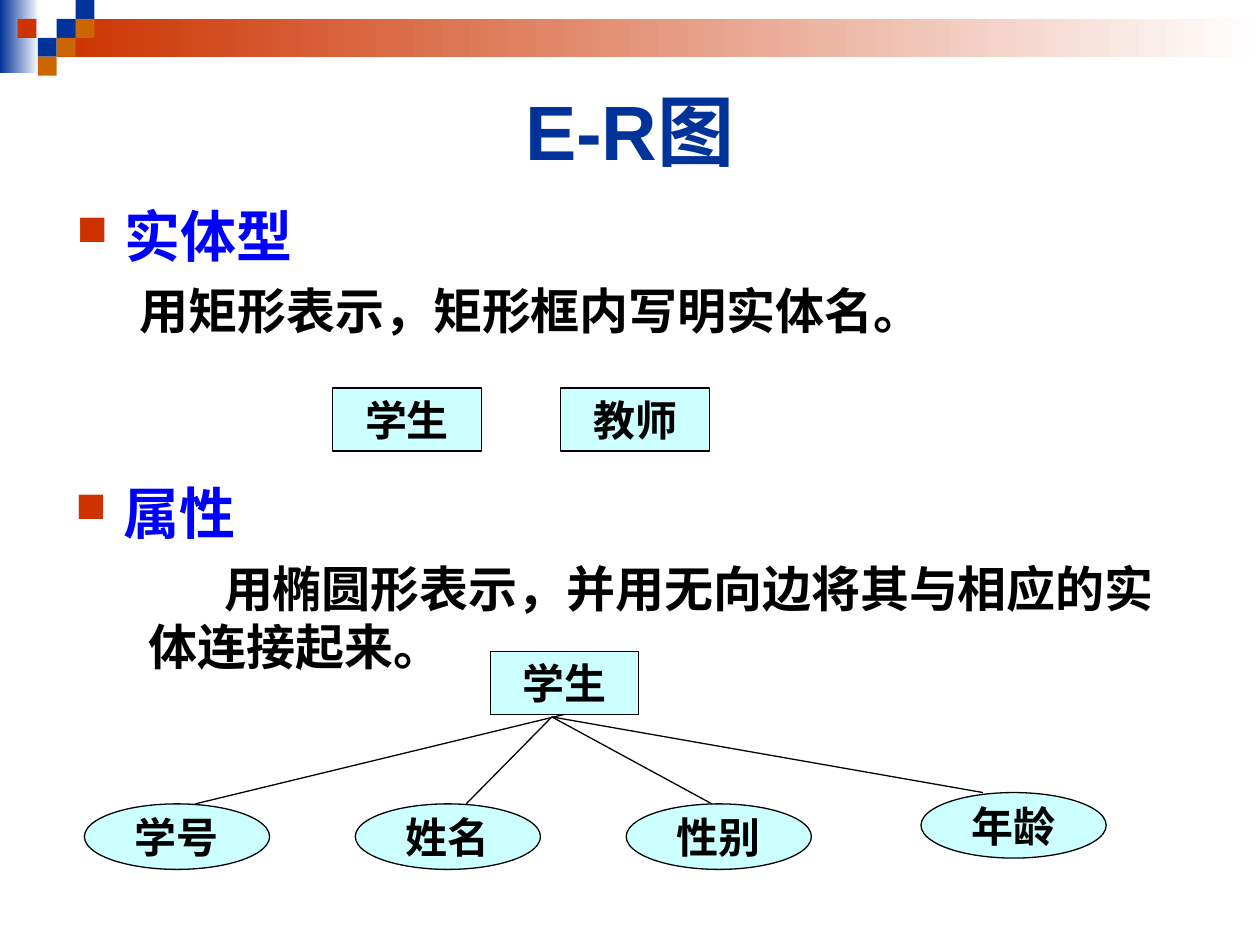
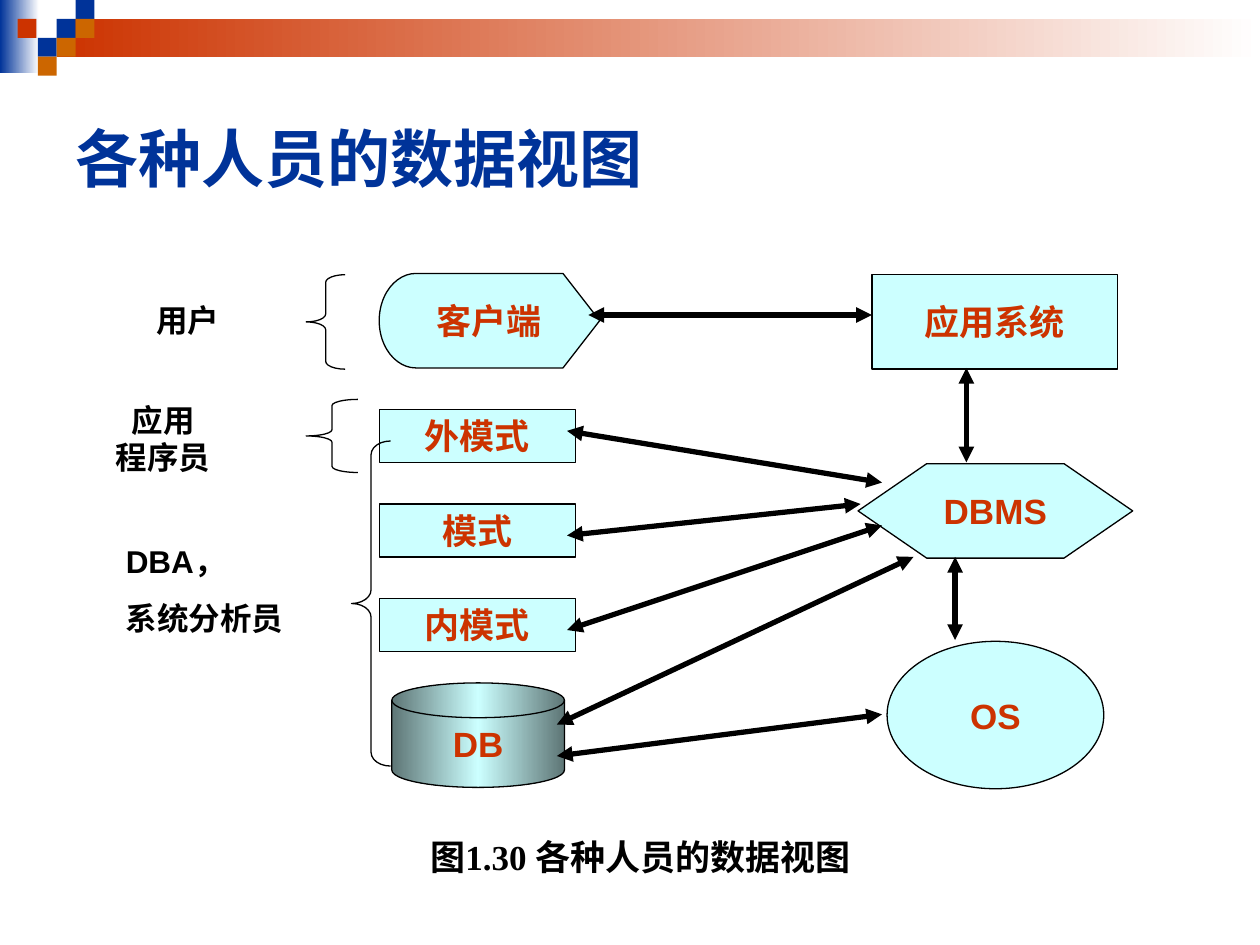
import copy
import pptx
import pptx.util
import pptx.dml.color
import pptx.enum.lang
import pptx.enum.shapes
import pptx.enum.text
import pptx.oxml.ns
import lxml.etree

Inches, Pt = pptx.util.Inches, pptx.util.Pt
RGBColor = pptx.dml.color.RGBColor
Kind = pptx.enum.shapes.MSO_SHAPE
Align = pptx.enum.text.PP_ALIGN
Anchor = pptx.enum.text.MSO_ANCHOR
Lang = pptx.enum.lang.MSO_LANGUAGE_ID
qn = pptx.oxml.ns.qn

NAVY = RGBColor(0x00, 0x33, 0x99)
RED = RGBColor(0xCC, 0x33, 0x00)
OCHRE = RGBColor(0xCC, 0x66, 0x00)
BLUE = RGBColor(0x00, 0x00, 0xFF)
AQUA = RGBColor(0xCC, 0xFF, 0xFF)
TEAL = RGBColor(0x5E, 0x76, 0x76)
BLACK = RGBColor(0x00, 0x00, 0x00)
WHITE = RGBColor(0xFF, 0xFF, 0xFF)
SANS, SERIF, HAN = "Arial", "Times New Roman", "Noto Sans CJK SC"


def put(page, kind, at, text="", size=20, color=BLACK, face=SANS,
        align=Align.CENTER, fill=AQUA, edge=BLACK, gap=0):
    """Add a shape, or a text box when kind is None, with bold text."""
    at = [Inches(n) for n in at]
    if kind is None:
        shape = page.shapes.add_textbox(*at)
    else:
        shape = page.shapes.add_shape(kind, *at)
        shape.shadow.inherit = False
        if fill is None:
            shape.fill.background()
        elif isinstance(fill, list):
            shape.fill.gradient()
            shape.fill.gradient_angle = 0
            for stop, tone in zip(shape.fill.gradient_stops, fill):
                stop.color.rgb = tone
        else:
            shape.fill.solid()
            shape.fill.fore_color.rgb = fill
        if edge is None:
            shape.line.fill.background()
        else:
            shape.line.color.rgb = edge
            shape.line.width = Pt(0.75)
    if text:
        frame = shape.text_frame
        frame.word_wrap = True
        frame.vertical_anchor = Anchor.TOP if kind is None else Anchor.MIDDLE
        frame.text = text
        for i, para in enumerate(frame.paragraphs):
            para.alignment = align
            if i and gap:
                para.space_before = Pt(gap)
            font = para.font
            font.name, font.size, font.bold = face, Pt(size), True
            font.color.rgb = color
            font.language_id = Lang.SIMPLIFIED_CHINESE
    return shape


def link(page, start, end, width=0.75, heads=False):
    """Add a black straight line, with arrowheads at both ends if asked."""
    line = page.shapes.add_connector(
        pptx.enum.shapes.MSO_CONNECTOR.STRAIGHT,
        *[Inches(n) for n in start + end])
    line.line.color.rgb = BLACK
    line.line.width = Pt(width)
    if heads:
        for tag in ("a:headEnd", "a:tailEnd"):
            lxml.etree.SubElement(line.element.spPr.find(qn("a:ln")),
                                  qn(tag), type="triangle")
    lxml.etree.SubElement(line.element.spPr, qn("a:effectLst"))
    return line


deck = pptx.Presentation()
deck.slide_width, deck.slide_height = Inches(10), Inches(7.5)
plan = deck.slide_layouts[5]

# Titles
pages = []
for text, top, size, align in (
        ("E-R图", 0.28, 44, Align.CENTER),
        ("各种人员的数据视图", 0.5, 36, Align.LEFT)):
    page = deck.slides.add_slide(plan)
    title = page.shapes.title
    title.left, title.top = Inches(0.5), Inches(top)
    title.width, title.height = Inches(9), Inches(1.5)
    title.text_frame.text = text
    title.text_frame.vertical_anchor = Anchor.MIDDLE
    para = title.text_frame.paragraphs[0]
    para.alignment = align
    font = para.font
    font.name, font.size, font.bold = SANS, Pt(size), True
    font.color.rgb = NAVY
    font.language_id = Lang.SIMPLIFIED_CHINESE
    pages.append(page)
model, views = pages

# Shared band and checker, moved to the layout
tile = 0.15
band = [((0, 0, 0.31, 0.58), [NAVY, WHITE]),
        ((0.45, tile, 9.55, 0.3), [RED, WHITE])]
for col, row, tone in ((3, 1, NAVY), (4, 0, NAVY), (4, 1, OCHRE),
                       (2, 2, NAVY), (0.93, 1, RED), (3, 2, OCHRE),
                       (2, 3, OCHRE)):
    band.append(((col * tile, row * tile, tile, tile), tone))
for i, (at, fill) in enumerate(band):
    part = put(model, Kind.RECTANGLE, at, fill=fill, edge=None)
    part.element.nvSpPr.cNvPr.set("id", str(20 + i))
    plan.shapes.element.append(part.element)

# Slide 1: heading and note for each notation
for at, head, note, left, first in (
        ((0.51, 1.55, 9, 1.34), "实体型",
         "用矩形表示，矩形框内写明实体名。", 0.81, -0.31),
        ((0.5, 3.75, 9, 2.27), "属性",
         "用椭圆形表示，并用无向边将其与相应的实体连接起来。", 0.58, 0.6)):
    frame = put(model, None, at).text_frame
    frame.word_wrap = True
    frame.text = head + "\n" + note
    top, low = frame.paragraphs
    low.level = 1
    low.space_before = Pt(7)
    for para, margin, indent in ((top, 0.38, -0.38), (low, left, first)):
        props = para._p.get_or_add_pPr()
        props.set("marL", str(Inches(margin)))
        props.set("indent", str(Inches(indent)))
    props = top._p.get_or_add_pPr()
    tint = lxml.etree.SubElement(props, qn("a:buClr"))
    lxml.etree.SubElement(tint, qn("a:srgbClr"), val=str(RED))
    lxml.etree.SubElement(props, qn("a:buSzPct"), val="75000")
    lxml.etree.SubElement(props, qn("a:buChar"), char="■")
    for para, face, size, color in ((top, HAN, 32, BLUE),
                                    (low, SANS, 28, BLACK)):
        font = para.font
        font.name, font.size, font.bold = face, Pt(size), True
        font.color.rgb = color
        font.language_id = Lang.SIMPLIFIED_CHINESE

# Entities
for x, y, name in ((2.64, 3.08, "学生"), (4.45, 3.08, "教师"),
                   (3.89, 5.17, "学生")):
    root = put(model, Kind.RECTANGLE, (x, y, 1.18, 0.5), name, 24, face=SERIF)

# Attributes and their edges
for x, y, name, start, end in (
        (0.67, 6.38, "学号", 4.48, 1.55), (2.82, 6.38, "姓名", 4.38, 3.7),
        (4.97, 6.38, "性别", 4.38, 5.65), (7.31, 6.29, "年龄", 4.38, 7.8)):
    put(model, Kind.OVAL, (x, y, 1.47, 0.52), name, 24, face=SERIF)
    edge = link(model, (start, 5.69), (end, y))
    if start == 4.48:
        edge.begin_connect(root, 2)

# Slide 2: system parts
put(views, Kind.RECTANGLE, (6.92, 2.18, 1.95, 0.75), "应用系统", color=RED)
core = put(views, Kind.HEXAGON, (6.81, 3.68, 2.18, 0.75), "DBMS", color=RED)
core.adjustments[0] = 0.727
put(views, Kind.OVAL, (7.04, 5.09, 1.72, 1.17), "OS", color=RED)
client = put(views, Kind.FLOWCHART_DISPLAY, (3.01, 2.17, 1.75, 0.75),
             "客户端", color=RED)
client.element.spPr.xfrm.set("flipH", "1")
for i, name in enumerate(("外模式", "模式", "内模式")):
    put(views, Kind.RECTANGLE, (3.01, 3.25 + 0.75 * i, 1.56, 0.42), name,
        color=RED)

# Database drum, dark at both rims
drum = put(views, Kind.FLOWCHART_MAGNETIC_DISK, (3.11, 5.42, 1.37, 0.83),
           "DB", color=RED, fill=[TEAL, AQUA])
drum.fill.gradient_stops[1].position = 0.5
stops = drum.element.spPr.find(".//" + qn("a:gsLst"))
rim = copy.deepcopy(stops[0])
rim.set("pos", "100000")
stops.append(rim)

# Two-way arrows
for start, end in (((4.42, 6), (7, 5.67)), ((4.42, 5.75), (7.25, 4.42)),
                   ((4.5, 5), (7, 4.17)), ((4.5, 4.25), (6.83, 4)),
                   ((4.5, 3.42), (7, 3.83)), ((4.67, 2.5), (6.92, 2.5)),
                   ((7.67, 2.92), (7.67, 3.67)),
                   ((7.58, 4.42), (7.58, 5.08))):
    link(views, start, end, 3, True)

# Roles and their braces
for at, bend, box, role, align in (
        ((2.79, 3.5, 0.31, 2.58), 0.35, (0.9, 4.25, 2.1, 0.86),
         "DBA，\n系统分析员", Align.LEFT),
        ((2.43, 3.17, 0.41, 0.58), 0.12, (0.51, 3.13, 1.57, 0.7),
         "应用\n程序员", Align.CENTER),
        ((2.43, 2.18, 0.31, 0.75), 0.2, (1.14, 2.34, 0.88, 0.4),
         "用户", Align.LEFT)):
    brace = put(views, Kind.LEFT_BRACE, at, fill=None)
    brace.adjustments[0] = bend
    put(views, None, box, role, 18, align=align,
        gap=11.2 if align == Align.LEFT else 0)

# Caption
put(views, None, (1.75, 6.58, 6.67, 0.44), "图1.30 各种人员的数据视图",
    face=SERIF)

deck.save("out.pptx")
